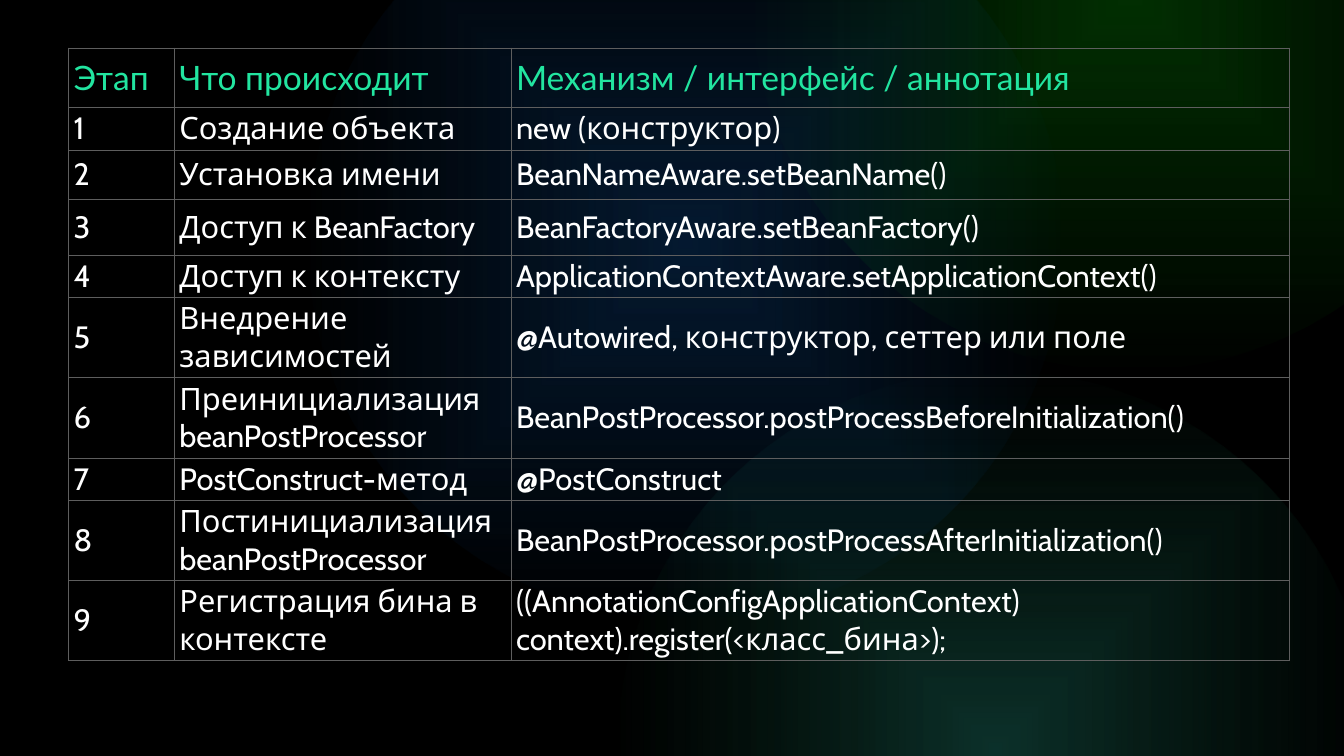
"""Build a slide with a table of the bean life cycle stages."""
from lxml import etree
from pptx import Presentation
from pptx.dml.color import RGBColor
from pptx.enum import shapes, text
from pptx.oxml import ns
from pptx.util import Inches, Pt

BLACK = RGBColor(0x00, 0x00, 0x00)
WHITE = RGBColor(0xFF, 0xFF, 0xFF)
GRID = RGBColor(0x5E, 0x5E, 0x5E)
GREEN = RGBColor(0x08, 0xBC, 0x08)
TEAL = RGBColor(0x31, 0xC2, 0xA7)
DARK_TEAL = RGBColor(0x20, 0x9F, 0x6D)
BLUE = RGBColor(0x11, 0x64, 0xC0)
LIME = RGBColor(0x34, 0xE2, 0x34)
MINT = RGBColor(0x22, 0xE5, 0xA0)
SKY = RGBColor(0x5A, 0xB0, 0xFF)

GLOWS = [
    (14.91, -7.64, GREEN, GREEN),
    (12.25, 7.36, TEAL, DARK_TEAL),
    (6.1, -2.7, BLUE, BLUE),
]
HEADER = ("Этап", "Что происходит", "Механизм / интерфейс / аннотация")
STAGES = [
    ("Создание объекта", "new (конструктор)"),
    ("Установка имени", "BeanNameAware.setBeanName()"),
    ("Доступ к BeanFactory", "BeanFactoryAware.setBeanFactory()"),
    ("Доступ к контексту", "ApplicationContextAware.setApplicationContext()"),
    ("Внедрение зависимостей", "@Autowired, конструктор, сеттер или поле"),
    ("Преинициализация beanPostProcessor",
     "BeanPostProcessor.postProcessBeforeInitialization()"),
    ("PostConstruct-метод", "@PostConstruct"),
    ("Постинициализация beanPostProcessor",
     "BeanPostProcessor.postProcessAfterInitialization()"),
    ("Регистрация бина в контексте",
     "((AnnotationConfigApplicationContext) context).register(<класс_бина>);"),
]
COL_WIDTHS = (2.1, 6.68, 15.44)
ROW_HEIGHTS = (1.18, 0.85, 0.97, 1.11, 0.64, 1.08, 1.6, 0.56, 1.37, 0.68)


def sub(parent, tag, **attrs):
    """Append a DrawingML child element with the given attributes."""
    el = etree.SubElement(parent, ns.qn(tag))
    for name, value in attrs.items():
        el.set(name, str(value))
    return el


def set_gradient(fill, stops):
    """Fill with (percent, colour, opacity) stops and return the gradient element."""
    fill.gradient()
    grad = fill._fill._gradFill
    for child in list(grad):
        grad.remove(child)
    gs_list = sub(grad, "a:gsLst")
    for position, colour, opacity in stops:
        gs = sub(gs_list, "a:gs", pos=position * 1000)
        clr = sub(gs, "a:srgbClr", val=colour)
        if opacity < 100:
            sub(clr, "a:alpha", val=opacity * 1000)
    return grad


def add_glow(s, left, top, inner, outer):
    """Add a round glow that fades out from its centre."""
    sp = s.shapes.add_shape(shapes.MSO_SHAPE.OVAL, Inches(left), Inches(top),
                            Inches(15), Inches(15))
    sp.rotation = 180
    sp.shadow.inherit = False
    sp.line.fill.background()
    grad = set_gradient(sp.fill, [(0, inner, 25), (100, outer, 0)])
    centre = sub(grad, "a:path", path="shape")
    sub(centre, "a:fillToRect", l=50000, t=50000, r=50000, b=50000)


def set_borders(cell):
    """Draw a thin line on all four sides of a cell."""
    tc_pr = cell._tc.get_or_add_tcPr()
    for side in ("a:lnL", "a:lnR", "a:lnT", "a:lnB"):
        ln = sub(tc_pr, side, w=Pt(1))
        sub(sub(ln, "a:solidFill"), "a:srgbClr", val=GRID)


def write_cell(cell, value, is_header):
    """Write and style one table cell."""
    set_borders(cell)
    cell.fill.background()
    cell.vertical_anchor = text.MSO_ANCHOR.MIDDLE
    p = cell.text_frame.paragraphs[0]
    p.text = value
    p.alignment = text.PP_ALIGN.LEFT
    p.font.bold = False
    if is_header:
        p.space_before = p.space_after = Pt(6)
        p.font.name, p.font.size = "Lato", Pt(48)
        grad = set_gradient(p.font.fill,
                            [(0, LIME, 100), (51, MINT, 100), (100, SKY, 100)])
        sub(grad, "a:lin", ang=0, scaled=0)
    else:
        p.font.name, p.font.size = "Cabin", Pt(44)
        p.font.color.rgb = WHITE


def add_stage_table(s):
    """Add the table of numbered stages under its header."""
    rows = [HEADER] + [(str(n), *stage) for n, stage in enumerate(STAGES, 1)]
    frame = s.shapes.add_table(len(rows), len(HEADER), Inches(1.36), Inches(0.95),
                               Inches(24.22), Inches(12.08))
    table = frame.table
    table.first_row = table.horz_banding = False
    for column, width in zip(table.columns, COL_WIDTHS):
        column.width = Inches(width)
    for row, height in zip(table.rows, ROW_HEIGHTS):
        row.height = Inches(height)
    frame.height = Inches(12.08)
    for i, values in enumerate(rows):
        for j, value in enumerate(values):
            write_cell(table.cell(i, j), value, i == 0)


def main():
    """Build and save the slide."""
    prs = Presentation()
    prs.slide_width, prs.slide_height = Inches(26.67), Inches(15)
    s = prs.slides.add_slide(prs.slide_layouts[6])
    s.background.fill.solid()
    s.background.fill.fore_color.rgb = BLACK
    for glow in GLOWS:
        add_glow(s, *glow)
    add_stage_table(s)
    prs.save("out.pptx")


if __name__ == "__main__":
    main()
